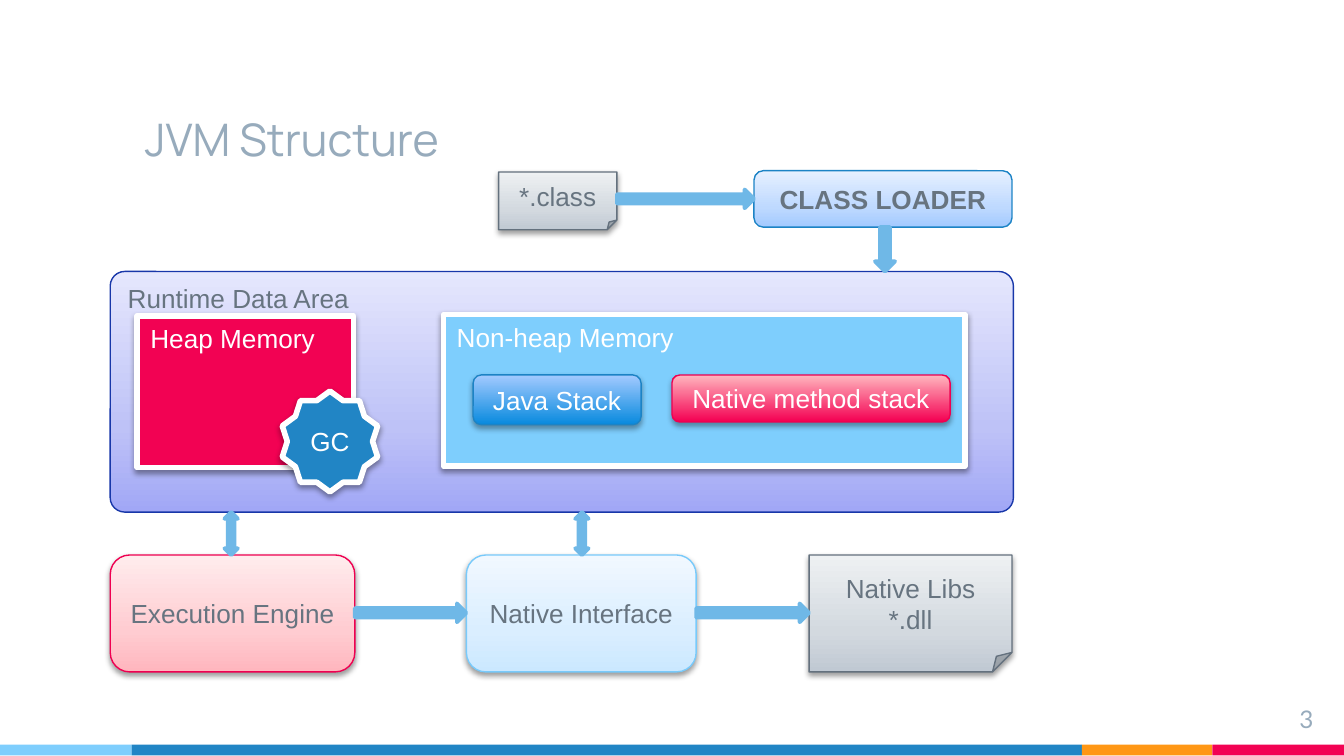
from pptx import Presentation
from pptx.dml.color import RGBColor
from pptx.enum.shapes import MSO_SHAPE as SHAPE
from pptx.enum.text import MSO_ANCHOR as ANCHOR, PP_ALIGN as ALIGN
from pptx.oxml import parse_xml
from pptx.oxml.ns import nsdecls
from pptx.util import Inches, Pt

WHITE = RGBColor(0xFF, 0xFF, 0xFF)
SLATE = RGBColor(0x67, 0x74, 0x80)
MIST = RGBColor(0x97, 0xAB, 0xBC)
SKY = RGBColor(0x7E, 0xCE, 0xFD)
BLUE = RGBColor(0x21, 0x85, 0xC5)
ORANGE = RGBColor(0xFF, 0x97, 0x15)
PINK = RGBColor(0xF2, 0x02, 0x53)
ARROW = RGBColor(0x6F, 0xB8, 0xE7)
GREY_EDGE = RGBColor(0x64, 0x71, 0x7E)
BLUE_EDGE = RGBColor(0x1C, 0x83, 0xC5)
NAVY_EDGE = RGBColor(0x18, 0x37, 0xA9)
PINK_EDGE = RGBColor(0xEF, 0x00, 0x51)
SKY_EDGE = RGBColor(0x78, 0xCA, 0xFB)


def ramp(*stops):
    """Gradient stops from bottom to top as (percent, colour)."""
    return [(pos, RGBColor.from_string(code)) for pos, code in stops]


GREY_RAMP = ramp((0, "C0C9D3"), (35, "D3D9DF"), (100, "EEF1F3"))
LOADER_RAMP = ramp((0, "A3CAFF"), (35, "BED9FF"), (100, "E6F0FF"))
RUNTIME_RAMP = ramp((0, "A1A7F6"), (35, "BEC2F7"), (100, "E5E7FD"))
JAVA_RAMP = ramp((0, "088ADE"), (100, "A3CAFF"))
NATIVE_RAMP = ramp((0, "F40052"), (100, "FFB6BE"))
ENGINE_RAMP = ramp((0, "FFB6BE"), (35, "FFCCD1"), (100, "FFECED"))
INTERFACE_RAMP = ramp((0, "CBE8FF"), (35, "DAEEFF"), (100, "F1F8FF"))

# shadow styles: opacity %, distance pt (blur is shared)
SOFT, DEEP = (38, 1.6), (35, 1.8)
SHADOW_BLUR = 3.1

FOOTER = [(SKY, 0.98), (BLUE, 7.07), (ORANGE, 0.97), (PINK, 0.98)]

# labels, shape, (left, top, width, height), fill, edge, edge pt, shadow, text colour
CLASS_FILE = (["*.class"], SHAPE.FOLDED_CORNER, (3.71, 1.28, 0.88, 0.43),
              GREY_RAMP, GREY_EDGE, 0.75, SOFT, SLATE)
LOADER = (["CLASS LOADER"], SHAPE.ROUNDED_RECTANGLE, (5.61, 1.27, 1.92, 0.42),
          LOADER_RAMP, BLUE_EDGE, 0.75, None, SLATE)
RUNTIME = (["Runtime Data Area"], SHAPE.ROUNDED_RECTANGLE, (0.82, 2.02, 6.72, 1.79),
           RUNTIME_RAMP, NAVY_EDGE, 0.75, None, SLATE)
HEAP = (["Heap Memory"], SHAPE.RECTANGLE, (1.02, 2.35, 1.61, 1.13),
        PINK, WHITE, 3, SOFT, WHITE)
NON_HEAP = (["Non-heap Memory"], SHAPE.RECTANGLE, (3.3, 2.34, 3.88, 1.13),
            SKY, WHITE, 3, SOFT, WHITE)
JAVA_STACK = (["Java Stack"], SHAPE.ROUNDED_RECTANGLE, (3.52, 2.79, 1.25, 0.37),
              JAVA_RAMP, BLUE_EDGE, 0.75, DEEP, WHITE)
NATIVE_STACK = (["Native method stack"], SHAPE.ROUNDED_RECTANGLE, (5, 2.79, 2.07, 0.35),
                NATIVE_RAMP, PINK_EDGE, 0.75, DEEP, WHITE)
COLLECTOR = (["GC"], SHAPE.STAR_10_POINT, (2.1, 2.91, 0.71, 0.75),
             BLUE, WHITE, 3, SOFT, WHITE)
ENGINE = (["Execution Engine"], SHAPE.ROUNDED_RECTANGLE, (0.82, 4.13, 1.82, 0.87),
          ENGINE_RAMP, PINK_EDGE, 0.75, SOFT, SLATE)
INTERFACE = (["Native Interface"], SHAPE.ROUNDED_RECTANGLE, (3.47, 4.13, 1.71, 0.87),
             INTERFACE_RAMP, SKY_EDGE, 0.75, SOFT, SLATE)
LIBS = (["Native Libs", "*.dll"], SHAPE.FOLDED_CORNER, (6.02, 4.13, 1.51, 0.87),
        GREY_RAMP, GREY_EDGE, 0.75, SOFT, SLATE)

BOXES = [CLASS_FILE, LOADER, RUNTIME, HEAP, NON_HEAP, JAVA_STACK,
         NATIVE_STACK, COLLECTOR, ENGINE, INTERFACE, LIBS]
CONTAINERS = [RUNTIME, HEAP, NON_HEAP]  # labelled at the top left

# from, to, middle height
ACROSS = [(CLASS_FILE, LOADER, 1.48), (ENGINE, INTERFACE, 4.56), (INTERFACE, LIBS, 4.56)]
# shape, left, width, from, to
DOWN = [(SHAPE.DOWN_ARROW, 6.51, 0.15, LOADER, RUNTIME),
        (SHAPE.UP_DOWN_ARROW, 1.67, 0.1, RUNTIME, ENGINE),
        (SHAPE.UP_DOWN_ARROW, 4.28, 0.1, RUNTIME, INTERFACE)]


def paint(shape, fill, edge=None, edge_pt=0, shadow=None):
    shape.shadow.inherit = False
    if isinstance(fill, list):
        shape.fill.gradient()
        shape.fill.gradient_angle = 90
        stops = shape._element.spPr.find(".//{*}gsLst")
        for stop in list(stops):
            stops.remove(stop)
        for pos, color in fill:
            stops.append(parse_xml(
                f'<a:gs {nsdecls("a")} pos="{pos * 1000}"><a:srgbClr val="{color}"/></a:gs>'))
    else:
        shape.fill.solid()
        shape.fill.fore_color.rgb = fill
    if edge is None:
        shape.line.fill.background()
    else:
        shape.line.color.rgb = edge
        shape.line.width = Pt(edge_pt)
    if shadow:
        opacity, distance = shadow
        shape._element.spPr.find("{*}effectLst").append(parse_xml(
            f'<a:outerShdw {nsdecls("a")} blurRad="{Pt(SHADOW_BLUR)}" dist="{Pt(distance)}" '
            f'dir="5400000" rotWithShape="0"><a:srgbClr val="000000">'
            f'<a:alpha val="{opacity * 1000}"/></a:srgbClr></a:outerShdw>'))


def write(frame, lines, size, font, color, align, anchor, bold=False):
    frame.word_wrap = True
    frame.vertical_anchor = anchor
    for i, line in enumerate(lines):
        paragraph = frame.add_paragraph() if i else frame.paragraphs[0]
        paragraph.alignment = align
        run = paragraph.add_run()
        run.text = line
        run.font.size, run.font.name, run.font.bold = Pt(size), font, bold
        run.font.color.rgb = color


def add_shape(slide, kind, area, *style):
    shape = slide.shapes.add_shape(kind, *map(Inches, area))
    paint(shape, *style)
    return shape


def add_label(slide, area, *text):
    frame = slide.shapes.add_textbox(*map(Inches, area)).text_frame
    frame.margin_top = frame.margin_bottom = Inches(0.1)
    write(frame, *text)


def main():
    prs = Presentation()
    prs.slide_width = Inches(10)
    prs.slide_height = prs.slide_width * 9 // 16
    slide = prs.slides.add_slide(prs.slide_layouts[6])

    left = 0
    for color, width in FOOTER:
        add_shape(slide, SHAPE.RECTANGLE, (left, 5.54, width, 0.08), color)
        left += width

    add_label(slide, (0.98, 0.39, 7.07, 0.94), ["JVM Structure"], 24, "Manrope", MIST,
              ALIGN.LEFT, ANCHOR.BOTTOM)
    add_label(slide, (9.27, 5.14, 0.6, 0.34), ["3"], 13, "Lato", MIST,
              ALIGN.RIGHT, ANCHOR.TOP)

    for box in BOXES:
        lines, kind, area, fill, edge, edge_pt, shadow, color = box
        shape = add_shape(slide, kind, area, fill, edge, edge_pt, shadow)
        if box is RUNTIME:
            shape.adjustments[0] = 0.06
        container = box in CONTAINERS
        write(shape.text_frame, lines, 14, "Arial", color,
              ALIGN.LEFT if container else ALIGN.CENTER,
              ANCHOR.TOP if container else ANCHOR.MIDDLE, bold=box is LOADER)

    for source, target, middle in ACROSS:
        x, _, width, _ = source[2]
        start, end = x + width, target[2][0]
        add_shape(slide, SHAPE.RIGHT_ARROW, (start, middle - 0.07, end - start, 0.14),
                  ARROW, ARROW, 2)
    for kind, x, width, upper, lower in DOWN:
        _, y, _, height = upper[2]
        start, end = y + height, lower[2][1]
        add_shape(slide, kind, (x, start, width, end - start), ARROW, ARROW, 2)

    prs.save("out.pptx")


if __name__ == "__main__":
    main()
